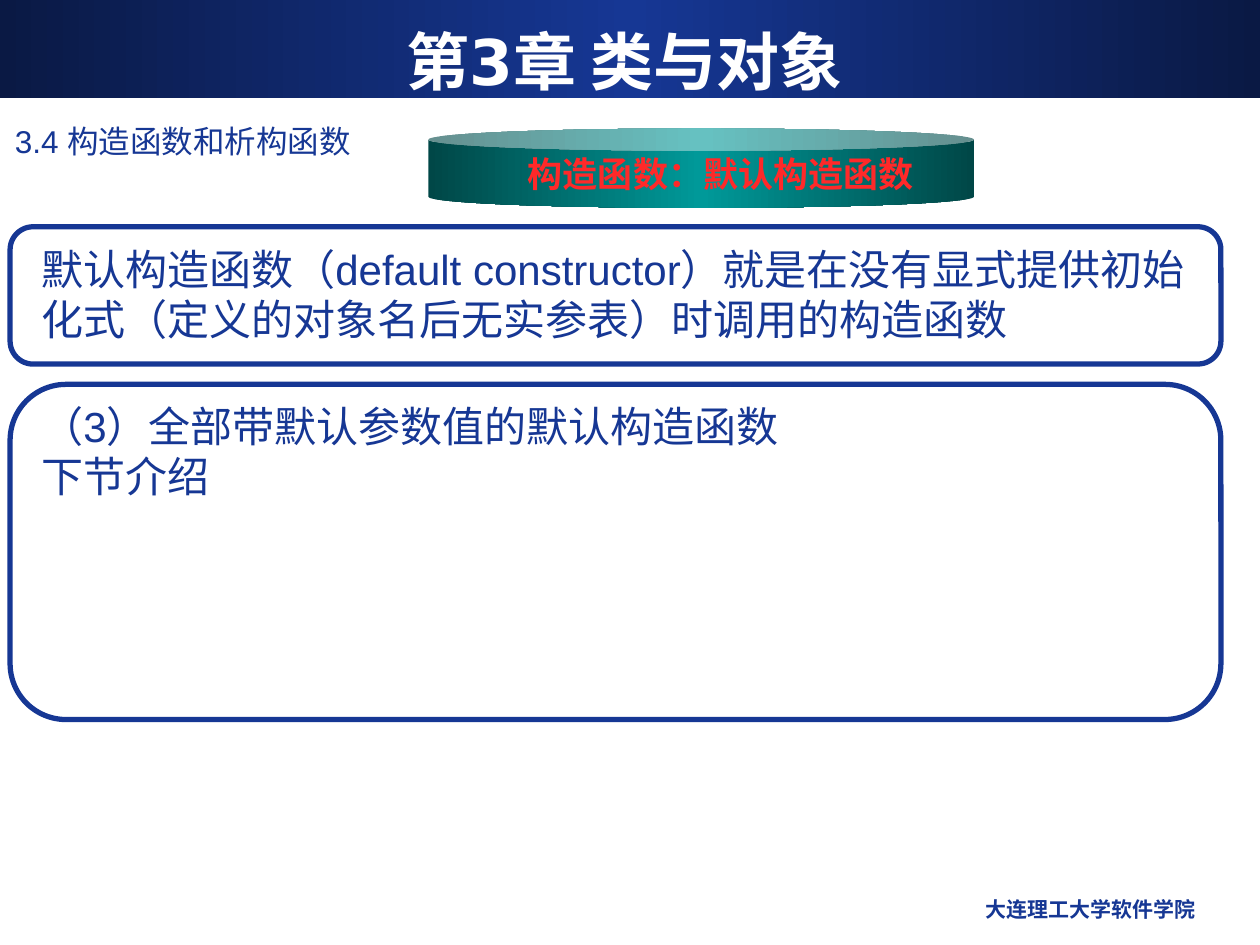
from copy import deepcopy

from pptx import Presentation
from pptx.dml.color import RGBColor
from pptx.enum.shapes import MSO_SHAPE
from pptx.enum.text import MSO_ANCHOR, MSO_AUTO_SIZE, PP_ALIGN
from pptx.oxml.ns import qn
from pptx.util import Inches, Pt

RECT, ROUND, CAN = MSO_SHAPE.RECTANGLE, MSO_SHAPE.ROUNDED_RECTANGLE, MSO_SHAPE.CAN
LEFT, CENTER, RIGHT = PP_ALIGN.LEFT, PP_ALIGN.CENTER, PP_ALIGN.RIGHT
TOP, MIDDLE = MSO_ANCHOR.TOP, MSO_ANCHOR.MIDDLE
GROW = MSO_AUTO_SIZE.SHAPE_TO_FIT_TEXT


def rgb(value):
    return RGBColor.from_string(value)


class Deck:
    """Style and current slide; boxes are (left, top, width, height) in percent of the slide."""

    NAVY, WHITE, RED = "163794", "FFFFFF", "FF2929"
    NAVY_DARK, TEAL, TEAL_DARK = "0A1944", "009999", "004747"
    BODY, HEADING = "Arial", "DejaVu Sans"

    def __init__(self, prs):
        self.prs = prs
        self.slide = prs.slides.add_slide(prs.slide_layouts[6])

    def place(self, box):
        sizes = (self.prs.slide_width, self.prs.slide_height) * 2
        return [round(size * share / 100) for size, share in zip(sizes, box)]

    def shape(self, kind, box, adjust=None):
        s = self.slide.shapes.add_shape(kind, *self.place(box))
        s.shadow.inherit = False
        if adjust is not None:
            s.adjustments[0] = adjust
        return s

    def shaded(self, kind, box, edge, middle, adjust=None):
        """Shape without outline, shaded from edge to middle and back."""
        s = self.shape(kind, box, adjust)
        s.line.fill.background()
        s.fill.gradient()
        s.fill.gradient_angle = 0
        first = s._element.spPr.find(".//" + qn("a:gs"))
        first.addnext(deepcopy(first))
        for stop, position, color in zip(s.fill.gradient_stops, (0, 0.5, 1), (edge, middle, edge)):
            stop.position = position
            stop.color.rgb = rgb(color)
        return s

    def set_text(self, s, text, size, color=NAVY, font=BODY, bold=False, align=LEFT, anchor=TOP):
        tf = s.text_frame
        tf.word_wrap = True
        tf.vertical_anchor = anchor
        tf.text = text
        for p in tf.paragraphs:
            p.alignment = align
            for r in p.runs:
                r.font.size, r.font.name, r.font.bold = Pt(size), font, bold
                r.font.color.rgb = rgb(color)
        return tf

    def text(self, box, text, size, **style):
        s = self.slide.shapes.add_textbox(*self.place(box))
        return self.set_text(s, text, size, **style)

    def panel(self, top, height, text):
        """Rounded outline with its text box set in from the top left corner."""
        s = self.shape(ROUND, (0.8, top, 96.1, height), 0.167)
        s.fill.background()
        s.line.color.rgb = rgb(self.NAVY)
        s.line.width = Pt(3)
        self.text((2.3, top + 1.07, 93, 12), text, 24).auto_size = GROW


def main():
    prs = Presentation()
    prs.slide_width, prs.slide_height = Inches(10), Inches(7.5)
    deck = Deck(prs)

    deck.shaded(RECT, (0, 0, 100, 10.4), deck.NAVY_DARK, deck.NAVY)
    deck.text((64.2, 94.27, 31.7, 4.67), "大连理工大学软件学院", 12,
              font=deck.HEADING, bold=True, align=RIGHT)
    deck.text((0.2, 12.27, 92.5, 5.47), "3.4 构造函数和析构函数", 18)
    deck.text((3.3, 2.27, 92.5, 8.27), "第3章 类与对象", 36, color=deck.WHITE,
              font=deck.HEADING, bold=True, align=CENTER, anchor=MIDDLE)

    deck.panel(24, 14.53, "默认构造函数（default constructor）就是在没有显式提供初始化式"
                          "（定义的对象名后无实参表）时调用的构造函数")

    topic = deck.shaded(CAN, (34, 13.6, 43.3, 8.4), deck.TEAL_DARK, deck.TEAL, 0.279)
    tf = deck.set_text(topic, "构造函数：默认构造函数", 20, color=deck.RED, bold=True, anchor=MIDDLE)
    tf.margin_left = Inches(0.79)

    deck.panel(40.67, 35.47, "（3）全部带默认参数值的默认构造函数\n下节介绍")

    prs.save("out.pptx")


if __name__ == "__main__":
    main()
